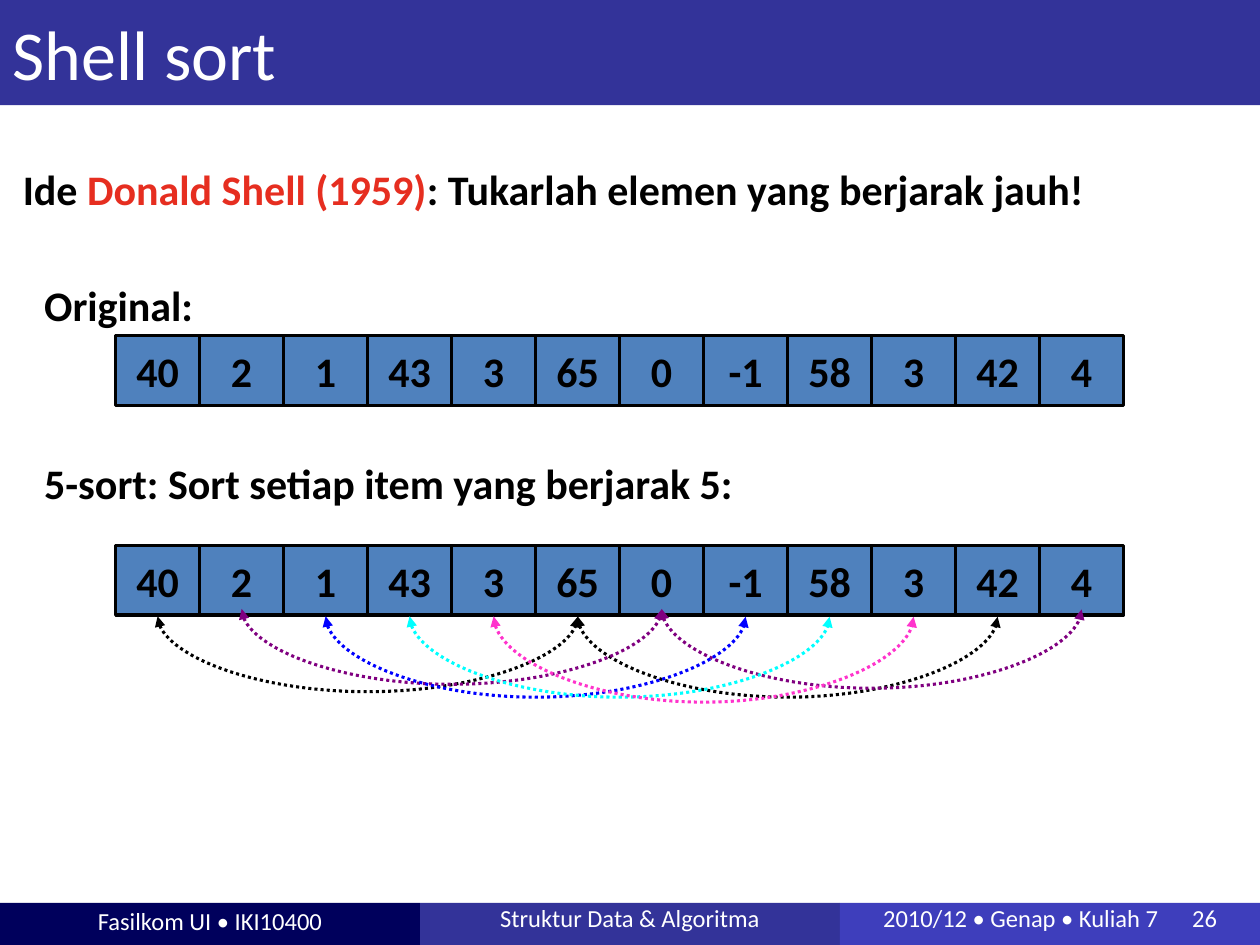
import dataclasses

import lxml.etree
import pptx
import pptx.dml.color
import pptx.enum.dml
import pptx.enum.shapes
import pptx.enum.text
import pptx.oxml.ns
import pptx.util

Cm = pptx.util.Cm
Pt = pptx.util.Pt
qn = pptx.oxml.ns.qn
Align = pptx.enum.text.PP_ALIGN
Anchor = pptx.enum.text.MSO_ANCHOR
AutoSize = pptx.enum.text.MSO_AUTO_SIZE


@dataclasses.dataclass(frozen=True)
class Theme:
    font: str = "Calibri"
    title_size: int = 40
    body_size: int = 24
    footer_size: int = 14
    line_width: float = 1.75
    ink: str = "000000"
    paper: str = "FFFFFF"
    accent: str = "E62E20"
    title_bar: str = "333399"
    footer_bars: tuple = ("00005C", "333399", "3E3EBC")
    cell: str = "4F81BD"
    purple: str = "800080"
    blue: str = "0000FF"
    cyan: str = "00FFFF"
    pink: str = "FF33CC"


THEME = Theme()
WIDTH, HEIGHT = 25.4, 19.05
VALUES = (40, 2, 1, 43, 3, 65, 0, -1, 58, 3, 42, 4)
GAP = 5
CELL_WIDTH = WIDTH / 15
CELL_HEIGHT = 1.4
ROW_LEFT = 2.33
ORIGINAL_TOP, SORT_TOP = 6.77, 11
ARC_TOP, PURPLE_ARC_TOP = 12.43, 12.28
ARC_THICKNESS = 0.01


def rgb(color):
    return pptx.dml.color.RGBColor.from_string(color)


def write_text(shape, *pieces, size=THEME.body_size, color=THEME.ink, bold=False,
               align=Align.LEFT, anchor=Anchor.TOP, wrap=True, spacing=None,
               auto_size=AutoSize.NONE, margins=None, tab=None):
    frame = shape.text_frame
    frame.word_wrap = wrap
    frame.auto_size = auto_size
    frame.vertical_anchor = anchor
    if margins:
        (frame.margin_left, frame.margin_top,
         frame.margin_right, frame.margin_bottom) = map(Cm, margins)
    paragraph = frame.paragraphs[0]
    paragraph.alignment = align
    if spacing:
        paragraph.line_spacing = spacing
    if tab:
        properties = paragraph._p.get_or_add_pPr()
        stops = lxml.etree.SubElement(properties, qn("a:tabLst"))
        lxml.etree.SubElement(stops, qn("a:tab"), pos=str(Cm(tab)), algn="l")
    for piece in pieces:
        words, piece_color = piece if isinstance(piece, tuple) else (piece, color)
        run = paragraph.add_run()
        run.text = words
        run.font.name = THEME.font
        run.font.size = Pt(size)
        run.font.bold = bold
        run.font.color.rgb = rgb(piece_color)


def fill_shape(shape, color):
    shape.fill.solid()
    shape.fill.fore_color.rgb = rgb(color)


def add_box(shapes, left, top, width, height, fill, outline=None):
    box = shapes.add_shape(pptx.enum.shapes.MSO_SHAPE.RECTANGLE,
                           Cm(left), Cm(top), Cm(width), Cm(height))
    box.shadow.inherit = False
    fill_shape(box, fill)
    if outline:
        box.line.color.rgb = rgb(outline)
        box.line.width = Pt(THEME.line_width)
    else:
        box.line.fill.background()
    return box


def add_title(slide, words):
    title = slide.shapes.title
    title.left, title.top, title.width, title.height = 0, 0, Cm(WIDTH), Cm(2.12)
    fill_shape(title, THEME.title_bar)
    write_text(title, words, size=THEME.title_size, color=THEME.paper,
               anchor=Anchor.MIDDLE)


def add_heading(slide, left, top, width, *pieces):
    heading = slide.shapes.add_textbox(Cm(left), Cm(top), Cm(width), Cm(1.27))
    write_text(heading, *pieces, bold=True, auto_size=AutoSize.SHAPE_TO_FIT_TEXT)


def add_array(slide, top):
    cells = slide.shapes.add_group_shape().shapes
    for index, value in enumerate(VALUES):
        cell = add_box(cells, ROW_LEFT + index * CELL_WIDTH, top,
                       CELL_WIDTH, CELL_HEIGHT, THEME.cell, THEME.ink)
        write_text(cell, str(value), bold=True, align=Align.CENTER,
                   anchor=Anchor.MIDDLE, wrap=False)


def add_arc(shapes, first, top, depth, color):
    span = GAP * CELL_WIDTH
    middle = ROW_LEFT + (first + 0.5) * CELL_WIDTH + span / 2
    left = middle - ARC_THICKNESS / 2
    arc = shapes.add_connector(pptx.enum.shapes.MSO_CONNECTOR.CURVE,
                               Cm(left), Cm(top - span / 2),
                               Cm(left + ARC_THICKNESS), Cm(top + span / 2))
    arc.line.color.rgb = rgb(color)
    arc.line.width = Pt(THEME.line_width)
    arc.line.dash_style = pptx.enum.dml.MSO_LINE.ROUND_DOT
    properties = arc.element.spPr
    transform = properties.find(qn("a:xfrm"))
    transform.set("rot", str(270 * 60000))
    transform.set("flipH", "1")
    geometry = properties.find(qn("a:prstGeom"))
    adjustments = geometry.find(qn("a:avLst"))
    if adjustments is None:
        adjustments = lxml.etree.SubElement(geometry, qn("a:avLst"))
    bend = round(depth / ARC_THICKNESS * 100000)
    lxml.etree.SubElement(adjustments, qn("a:gd"), name="adj1", fmla=f"val {bend}")
    line = properties.find(qn("a:ln"))
    for end in ("a:headEnd", "a:tailEnd"):
        lxml.etree.SubElement(line, qn(end), type="triangle")
    lxml.etree.SubElement(properties, qn("a:effectLst"))


def add_sort_arcs(slide):
    black = slide.shapes.add_group_shape().shapes
    add_arc(black, 0, ARC_TOP, 1.52, THEME.ink)
    add_arc(black, GAP, ARC_TOP, 1.63, THEME.ink)
    purple = slide.shapes.add_group_shape().shapes
    add_arc(purple, 1, PURPLE_ARC_TOP, 1.52, THEME.purple)
    add_arc(purple, 1 + GAP, PURPLE_ARC_TOP, 1.6, THEME.purple)
    add_arc(slide.shapes, 2, ARC_TOP, 1.63, THEME.blue)
    add_arc(slide.shapes, 3, ARC_TOP, 1.63, THEME.cyan)
    add_arc(slide.shapes, 4, ARC_TOP, 1.73, THEME.pink)


def add_footer(slide):
    centred = dict(align=Align.CENTER, margins=(0.25, 0, 0.25, 0.13))
    entries = (
        ("Fasilkom UI • IKI10400", centred),
        ("Struktur Data & Algoritma", dict(centred, spacing=0.81)),
        ("2010/12 • Genap • Kuliah 7\t26",
         dict(margins=(0.87, 0, 0.25, 0.13), spacing=0.81, tab=6.23)),
    )
    width = WIDTH / len(entries)
    for index, (words, layout) in enumerate(entries):
        bar = add_box(slide.shapes, index * width, 18.2, width, HEIGHT - 18.2,
                      THEME.footer_bars[index])
        write_text(bar, words, size=THEME.footer_size, color=THEME.paper,
                   anchor=Anchor.MIDDLE, **layout)


def main():
    deck = pptx.Presentation()
    deck.slide_width, deck.slide_height = Cm(WIDTH), Cm(HEIGHT)
    slide = deck.slides.add_slide(deck.slide_layouts[5])
    add_footer(slide)
    add_title(slide, "Shell sort")
    add_array(slide, ORIGINAL_TOP)
    add_heading(slide, 0.64, 5.5, 6.35, "Original:")
    add_heading(slide, 0.64, 9.1, 17.78, "5-sort: Sort setiap item yang berjarak 5:")
    add_array(slide, SORT_TOP)
    add_sort_arcs(slide)
    add_heading(slide, 0.21, 3.18, 24.77, "Ide ",
                ("Donald Shell (1959)", THEME.accent),
                ": Tukarlah elemen yang berjarak jauh!")
    deck.save("out.pptx")


if __name__ == "__main__":
    main()
